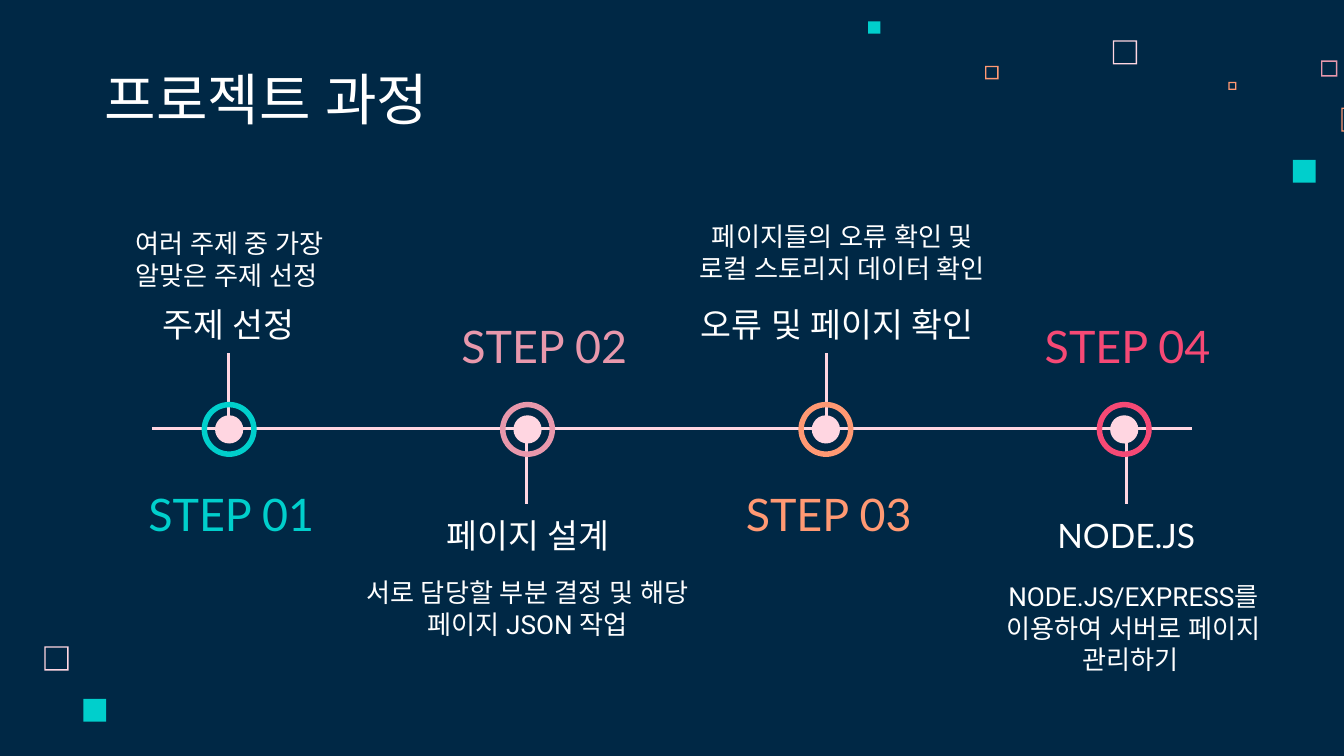
import lxml.etree
import pptx
import pptx.dml.color
import pptx.enum.shapes
import pptx.enum.text
import pptx.oxml.ns
import pptx.util

Inches = pptx.util.Inches
Shape = pptx.enum.shapes.MSO_SHAPE
Anchor = pptx.enum.text.MSO_ANCHOR
Align = pptx.enum.text.PP_ALIGN
qn = pptx.oxml.ns.qn

NAVY, WHITE, PINK = "002845", "FFFFFF", "FFD6E1"
TEAL, ROSE, ORANGE, RED = "00CFCC", "E898AC", "FF9973", "F64975"

# left, top, size, border (0 = solid), colour
SQUARES = [
    (8.28, 0.3, 0.18, 0.01, PINK),
    (9.83, 0.45, 0.12, 0.01, ROSE),
    (9.14, 0.61, 0.06, 0.01, ORANGE),
    (9.98, 0.8, 0.18, 0.01, ORANGE),
    (9.62, 1.19, 0.17, 0, TEAL),
    (7.33, 0.49, 0.1, 0.01, ORANGE),
    (6.46, 0.16, 0.09, 0, TEAL),
    (0.33, 4.81, 0.18, 0.01, PINK),
    (0.62, 5.2, 0.17, 0, TEAL),
]

STEMS = (1.7, 3.92, 6.15, 8.38)

# colour, (label left, width), heading, (left, width), description, (left, top, width, height)
STEPS = [
    (TEAL, (0.83, 1.78), "주제 선정", (0.67, 2.06),
     "여러 주제 중 가장 알맞은 주제 선정 ", (0.68, 1.55, 2.06, 0.71)),
    (ROSE, (3.1, 1.9), "페이지 설계", (2.9, 2.06),
     "서로 담당할 부분 결정 및 해당 페이지 JSON 작업", (2.54, 4.19, 2.77, 0.71)),
    (ORANGE, (5.14, 2.05), "오류 및 페이지 확인", (5, 2.46),
     "페이지들의 오류 확인 및 로컬 스토리지 데이터 확인", (5.02, 1.5, 2.5, 0.71)),
    (RED, (7.32, 2.14), "NODE.JS", (7.35, 2.06),
     "NODE.JS/EXPRESS를 이용하여 서버로 페이지 관리하기 ", (7.21, 4.22, 2.45, 0.88)),
]


def rgb(value):
    """Return the colour for a hex string."""
    return pptx.dml.color.RGBColor.from_string(value)


def add_solid(shapes, kind, left, top, size, color, adjustment=None):
    """Add a square-bounded preset shape with a flat fill."""
    shape = shapes.add_shape(kind, Inches(left), Inches(top), Inches(size), Inches(size))
    shape.shadow.inherit = False
    shape.fill.solid()
    shape.fill.fore_color.rgb = rgb(color)
    shape.line.fill.background()
    if adjustment is not None:
        shape.adjustments[0] = adjustment


def add_square(slide, left, top, size, border, color):
    """Add a decorative square, solid or as a frame."""
    if border:
        add_solid(slide.shapes, Shape.FRAME, left, top, size, color, border / size)
    else:
        add_solid(slide.shapes, Shape.RECTANGLE, left, top, size, color)


def add_line(slide, start, end):
    """Add a thin straight timeline stroke."""
    line = slide.shapes.add_connector(
        pptx.enum.shapes.MSO_CONNECTOR.STRAIGHT, *map(Inches, start + end))
    line.line.color.rgb = rgb(PINK)
    line.line.width = pptx.util.Pt(1.5)
    lxml.etree.SubElement(line._element.spPr, qn("a:effectLst"))


def add_marker(slide, left, color):
    """Add a grouped dot and ring."""
    group = slide.shapes.add_group_shape()
    add_solid(group.shapes, Shape.OVAL, left + 0.1, 3.09, 0.21, PINK)
    add_solid(group.shapes, Shape.DONUT, left, 2.99, 0.41, color, 0.1)


def set_east_asian_font(paragraph, name):
    """Use the named typeface for Korean text too."""
    latin = paragraph._p.pPr.find(qn("a:defRPr")).find(qn("a:latin"))
    latin.addnext(latin.makeelement(qn("a:ea"), {"typeface": name}))


def write_text(shape, text, size, font, color, anchor, align=Align.CENTER):
    """Write one formatted paragraph into a shape."""
    frame = shape.text_frame
    frame.word_wrap = True
    frame.auto_size = pptx.enum.text.MSO_AUTO_SIZE.NONE
    frame.vertical_anchor = anchor
    frame.margin_left = frame.margin_right = Inches(0.1)
    frame.margin_top = frame.margin_bottom = Inches(0.1)
    paragraph = frame.paragraphs[0]
    paragraph.text = text
    paragraph.alignment = align
    paragraph.font.size = pptx.util.Pt(size)
    paragraph.font.name = font
    paragraph.font.color.rgb = rgb(color)
    set_east_asian_font(paragraph, font)


def add_text(slide, box, *style):
    """Add a centred text box."""
    write_text(slide.shapes.add_textbox(*map(Inches, box)), *style)


def add_title(slide, text):
    """Place and fill the title placeholder."""
    title = slide.shapes.title
    title.left, title.top, title.width, title.height = map(Inches, (0.68, 0.45, 5.17, 0.63))
    write_text(title, text, 30, "Lato", WHITE, Anchor.BOTTOM, Align.LEFT)


def add_step_text(slide, index, color, label_span, heading, heading_span, description, box):
    """Add the label, heading and description of one step."""
    above = index % 2 == 0
    label_top, heading_top = (3.59, 2.16) if above else (2.34, 3.76)
    heading_anchor, description_anchor = (
        (Anchor.TOP, Anchor.BOTTOM) if above else (Anchor.BOTTOM, Anchor.TOP))
    add_text(slide, (heading_span[0], heading_top, heading_span[1], 0.47),
             heading, 18, "Lato", WHITE, heading_anchor)
    add_text(slide, box, description, 14, "Roboto", WHITE, description_anchor)
    add_text(slide, (label_span[0], label_top, label_span[1], 0.47),
             f"STEP {index + 1:02}", 24, "Lato", color, Anchor.MIDDLE)


def main():
    """Build the project process slide."""
    presentation = pptx.Presentation()
    presentation.slide_width = Inches(10)
    presentation.slide_height = Inches(10 * 9 / 16)
    slide = presentation.slides.add_slide(presentation.slide_layouts[5])
    slide.background.fill.solid()
    slide.background.fill.fore_color.rgb = rgb(NAVY)

    for square in SQUARES:
        add_square(slide, *square)
    add_title(slide, "프로젝트 과정")
    for index, stem in enumerate(STEMS):
        top = 3.26 if index % 2 else 2.63
        add_line(slide, (stem, top), (stem, top + 0.49))
    add_line(slide, (1.13, 3.19), (8.87, 3.19))
    for index, step in enumerate(STEPS):
        add_marker(slide, 1.5 + 2.22 * index, step[0])
        add_step_text(slide, index, *step)

    presentation.save("out.pptx")


if __name__ == "__main__":
    main()
